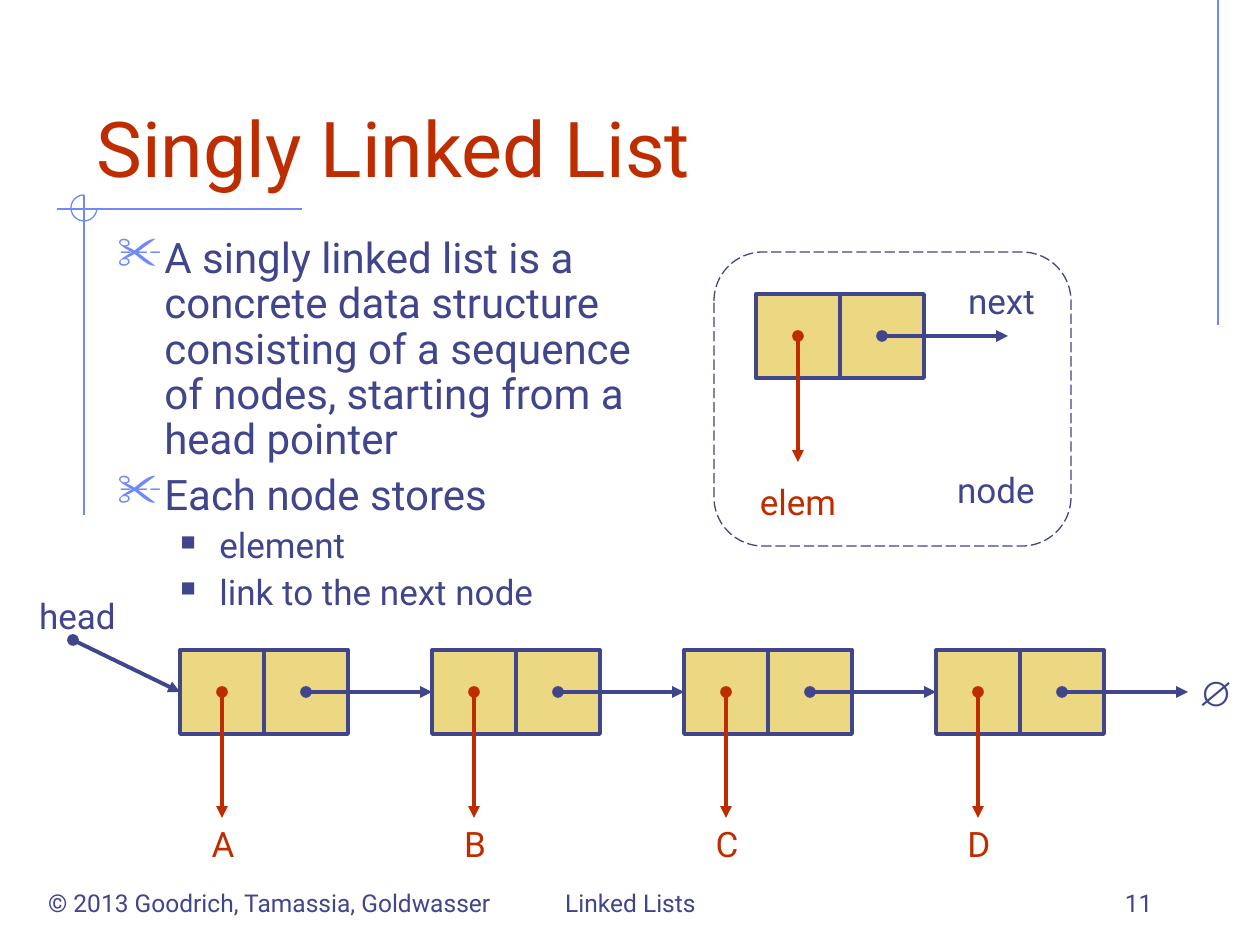
from lxml.etree import SubElement
from pptx import Presentation
from pptx.dml.color import RGBColor
from pptx.enum.dml import MSO_LINE
from pptx.enum.shapes import MSO_CONNECTOR, MSO_SHAPE as SHAPE
from pptx.enum.text import MSO_ANCHOR as ANCHOR, MSO_AUTO_SIZE, PP_ALIGN as ALIGN
from pptx.oxml.ns import qn
from pptx.util import Emu, Pt

NAVY, RED, BLUE, SAND = "40458C", "BE2D00", "6F89F7", "ECD882"
CELL = 84
ARROW = 126
LEFT_SIDE = 1


def px(length):
    return Emu(round(length * 914400 / 126))


def rgb(color):
    return RGBColor.from_string(color)


class Canvas:
    """Holds the slide and the style shared by its elements."""

    font = "Roboto"

    def __init__(self, slide):
        self.slide = slide
        self.shapes = slide.shapes

    def style(self, paragraph, size, color, font=None, bold=False):
        for run in paragraph.runs:
            run.font.name = font or self.font
            run.font.size = Pt(size)
            run.font.bold = bold
            run.font.color.rgb = rgb(color)

    def title(self, text, x, y, w, h):
        heading = self.shapes.title
        heading.left, heading.top, heading.width, heading.height = map(px, (x, y, w, h))
        frame = heading.text_frame
        frame.text = text
        frame.auto_size = MSO_AUTO_SIZE.NONE
        frame.vertical_anchor = ANCHOR.BOTTOM
        frame.paragraphs[0].alignment = ALIGN.LEFT
        self.style(frame.paragraphs[0], 44, RED)

    def text(self, text, x, y, w, h, size=20, color=NAVY, align=ALIGN.CENTER,
             anchor=ANCHOR.TOP, **look):
        frame = self.shapes.add_textbox(px(x), px(y), px(w), px(h)).text_frame
        frame.text = text
        frame.word_wrap = False
        frame.vertical_anchor = anchor
        frame.paragraphs[0].alignment = align
        self.style(frame.paragraphs[0], size, color, **look)

    def bullets(self, items, x, y, w, h):
        """Each item is a pair of level and text."""
        levels = (
            dict(margin=47, hang=47, sign="✂", color=BLUE, percent=110, size=24, before=6),
            dict(margin=102, hang=39, sign="■", color=NAVY, percent=60, size=20, before=5),
        )
        frame = self.shapes.add_textbox(px(x), px(y), px(w), px(h)).text_frame
        frame.word_wrap = True
        for index, (level, words) in enumerate(items):
            look = levels[level]
            paragraph = frame.add_paragraph() if index else frame.paragraphs[0]
            paragraph.text = words
            paragraph.level = level
            props = paragraph._p.get_or_add_pPr()
            props.set("marL", str(px(look["margin"])))
            props.set("indent", str(px(-look["hang"])))
            bullet_color = SubElement(props, qn("a:buClr"))
            SubElement(bullet_color, qn("a:srgbClr"), val=look["color"])
            SubElement(props, qn("a:buSzPct"), val=str(look["percent"] * 1000))
            SubElement(props, qn("a:buChar"), char=look["sign"])
            paragraph.line_spacing = 0.9
            if index:
                paragraph.space_before = Pt(look["before"])
            self.style(paragraph, look["size"], NAVY)

    def shape(self, kind, x, y, w, h, fill=None, line=NAVY, weight=2.25):
        shape = self.shapes.add_shape(kind, px(x), px(y), px(w), px(h))
        shape.shadow.inherit = False
        if fill:
            shape.fill.solid()
            shape.fill.fore_color.rgb = rgb(fill)
        else:
            shape.fill.background()
        shape.line.color.rgb = rgb(line)
        shape.line.width = Pt(weight)
        return shape

    def line(self, x1, y1, x2, y2, color=BLUE, weight=0.75):
        line = self.shapes.add_connector(MSO_CONNECTOR.STRAIGHT, px(x1), px(y1), px(x2), px(y2))
        line.line.color.rgb = rgb(color)
        line.line.width = Pt(weight)
        SubElement(line._element.spPr, qn("a:effectLst"))
        return line

    def pointer(self, x1, y1, x2, y2, color=NAVY, target=None):
        """Arrow with a dot at its start, joined to the target cell if given."""
        arrow = self.line(x1, y1, x2, y2, color, 2.25)
        ends = arrow.line._get_or_add_ln()
        SubElement(ends, qn("a:headEnd"), type="oval")
        SubElement(ends, qn("a:tailEnd"), type="triangle")
        if target is not None:
            arrow.end_connect(target, LEFT_SIDE)

    def node(self, x, y):
        """Two cells and the element pointer; returns the element cell."""
        elem_cell, _ = [self.shape(SHAPE.RECTANGLE, left, y, CELL, CELL, SAND)
                        for left in (x, x + CELL)]
        middle = y + CELL // 2
        self.pointer(x + CELL // 2, middle, x + CELL // 2, middle + ARROW, RED)
        return elem_cell

    def next_pointer(self, x, y, target=None):
        start, middle = x + CELL * 3 // 2, y + CELL // 2
        self.pointer(start, middle, start + ARROW, middle, target=target)


def draw_frame(canvas):
    canvas.line(1218, 0, 1218, 325)
    canvas.line(302, 209, 57, 209)
    canvas.line(84, 195, 84, 515)
    arc = canvas.shape(SHAPE.ARC, 71, 195, 26, 26, line=BLUE, weight=0.75)
    arc.adjustments[0], arc.adjustments[1] = 0, 162  # from 0 to 270 degrees
    canvas.text("© 2013 Goodrich, Tamassia, Goldwasser", 25, 882, 489, 43, size=14)
    canvas.text("Linked Lists", 431, 861, 399, 63, size=14, anchor=ANCHOR.BOTTOM)
    canvas.text("11", 903, 861, 262, 63, size=14, align=ALIGN.RIGHT, anchor=ANCHOR.BOTTOM)


def draw_node_legend(canvas):
    outline = canvas.shape(SHAPE.ROUNDED_RECTANGLE, 714, 252, 357, 294, weight=0.75)
    outline.line.dash_style = MSO_LINE.LONG_DASH
    canvas.node(756, 294)
    canvas.next_pointer(756, 294)
    canvas.text("next", 953, 273, 97, 55)
    canvas.text("elem", 745, 474, 106, 55, color=RED)
    canvas.text("node", 941, 462, 110, 55)


def draw_list(canvas):
    top, pitch = 650, 3 * CELL
    elements = "ABCD"
    lefts = [180 + pitch * index for index in range(len(elements))]
    cells = [canvas.node(left, top) for left in lefts]
    for left, element, following in zip(lefts, elements, cells[1:] + [None]):
        canvas.next_pointer(left, top, following)
        canvas.text(element, left + 19, 816, 48, 55, color=RED)
    canvas.text("∅", 1186, 665, 53, 55, font="Arial", bold=True)
    canvas.pointer(73, 640, 180, 692, target=cells[0])
    canvas.text("head", 24, 588, 107, 55)


def main():
    deck = Presentation()
    deck.slide_width, deck.slide_height = px(1260), px(945)
    canvas = Canvas(deck.slides.add_slide(deck.slide_layouts[5]))
    draw_frame(canvas)
    canvas.title("Singly Linked List", 84, 42, 1071, 157)
    canvas.bullets([
        (0, "A singly linked list is a concrete data structure consisting of a "
            "sequence of nodes, starting from a head pointer"),
        (0, "Each node stores"),
        (1, "element"),
        (1, "link to the next node"),
    ], 105, 231, 567, 388)
    draw_node_legend(canvas)
    draw_list(canvas)
    deck.save("out.pptx")


if __name__ == "__main__":
    main()
